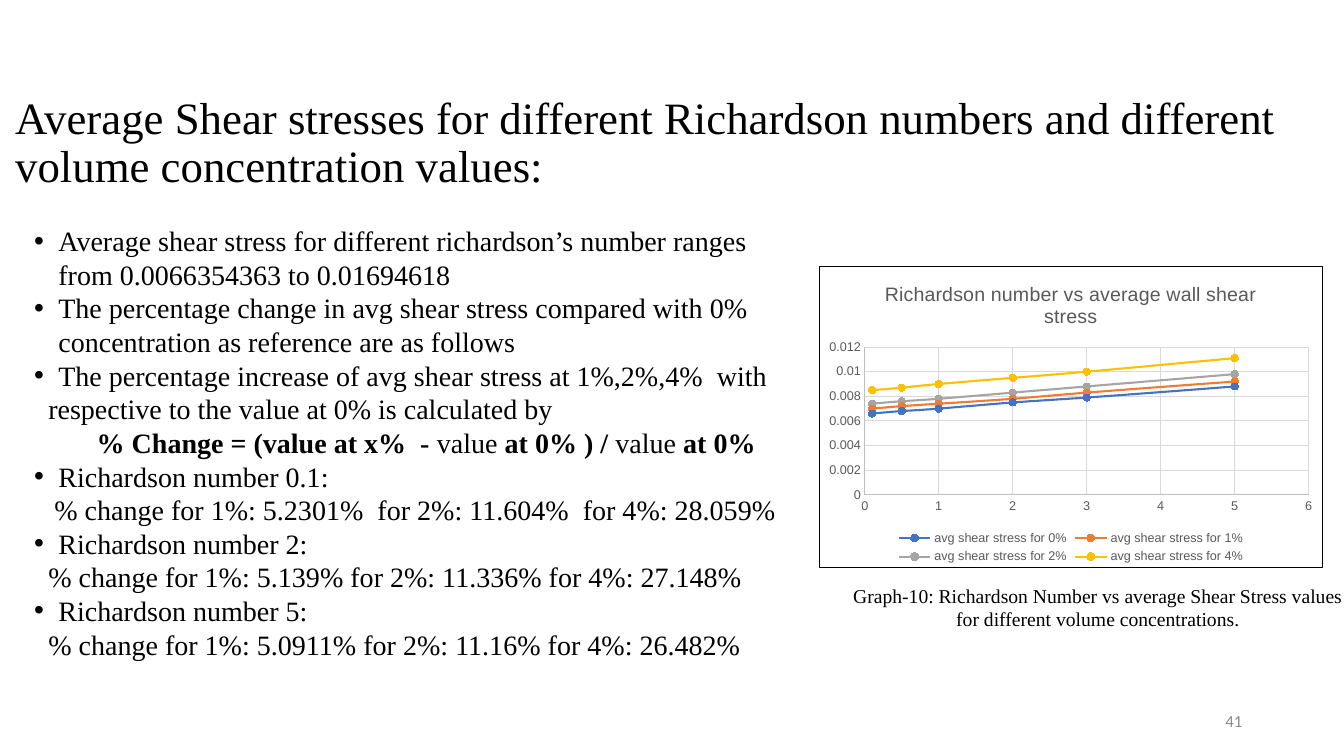
from lxml import etree
from pptx import Presentation
from pptx.chart.data import XyChartData
from pptx.dml.color import RGBColor
from pptx.enum import chart as ch, text as t
from pptx.oxml import parse_xml
from pptx.oxml.ns import nsdecls, qn
from pptx.util import Inches, Pt

SERIF = "Times New Roman"
GREY = "595959"
RICH = [0.1, 0.5, 1, 2, 3, 5]
STRESS = [
    ("0%", "4472C4", [0.0066, 0.0068, 0.007, 0.0075, 0.0079, 0.0088]),
    ("1%", "ED7D31", [0.007, 0.0072, 0.0074, 0.0078, 0.0083, 0.0092]),
    ("2%", "A5A5A5", [0.0074, 0.0076, 0.0078, 0.0083, 0.0088, 0.0098]),
    ("4%", "FFC000", [0.0085, 0.0087, 0.009, 0.0095, 0.01, 0.0111]),
]
# Each line: indent in inches (None for a bullet), then (words, bold) runs.
NOTES = [
    (None, [("Average shear stress for different richardson’s number ranges "
             "from 0.0066354363 to 0.01694618", False)]),
    (None, [("The percentage change in avg shear stress compared with 0% "
             "concentration as reference are as follows", False)]),
    (None, [("The percentage increase of avg shear stress at 1%,2%,4%  with", False)]),
    (0.14, [("respective to the value at 0% is calculated by", False)]),
    (0.62, [("% Change = (value at x%  - ", True), ("value ", False),
            ("at 0% ) / ", True), ("value ", False), ("at 0%", True)]),
    (None, [("Richardson number 0.1:", False)]),
    (0.2, [("% change for 1%: 5.2301%  for 2%: 11.604%  for 4%: 28.059%", False)]),
    (None, [("Richardson number 2:", False)]),
    (0.14, [("% change for 1%: 5.139% for 2%: 11.336% for 4%: 27.148%", False)]),
    (None, [("Richardson number 5:", False)]),
    (0.14, [("% change for 1%: 5.0911% for 2%: 11.16% for 4%: 26.482%", False)]),
]


def rgb(code):
    return RGBColor.from_string(code)


def style(font, size, color="000000", name=SERIF, bold=False):
    font.size, font.name, font.bold = Pt(size), name, bold
    font.color.rgb = rgb(color)


def write(para, words, align=t.PP_ALIGN.LEFT, **form):
    para.alignment = align
    run = para.add_run()
    run.text = words
    style(run.font, **form)


def frame(slide, box, anchor=t.MSO_ANCHOR.TOP):
    body = slide.shapes.add_textbox(*map(Inches, box)).text_frame
    body.word_wrap = True
    body.vertical_anchor = anchor
    return body


def indent(para, left, bullet):
    """Set the left margin, with a hanging bullet if asked for."""
    props = para._p.get_or_add_pPr()
    props.set("marL", str(Inches(left)))
    props.set("indent", str(Inches(-left if bullet else 0)))
    if bullet:
        etree.SubElement(props, qn("a:buFont")).set("typeface", "Arial")
        etree.SubElement(props, qn("a:buChar")).set("char", "•")


def add_title(slide, box, words):
    title = slide.shapes.title
    title.left, title.top, title.width, title.height = map(Inches, box)
    body = title.text_frame
    body.word_wrap = True
    body.auto_size = t.MSO_AUTO_SIZE.NONE
    body.vertical_anchor = t.MSO_ANCHOR.MIDDLE
    body.paragraphs[0].line_spacing = 0.9
    write(body.paragraphs[0], words, size=32)


def add_notes(slide, box):
    body = frame(slide, box)
    for i, (left, runs) in enumerate(NOTES):
        para = body.add_paragraph() if i else body.paragraphs[0]
        indent(para, 0.24 if left is None else left, left is None)
        for words, bold in runs:
            write(para, words, size=20, bold=bold)


def set_axis(axis, top, step):
    axis.minimum_scale, axis.maximum_scale, axis.major_unit = 0, top, step
    axis.major_tick_mark = axis.minor_tick_mark = ch.XL_TICK_MARK.NONE
    axis.has_major_gridlines = True
    for part, color in ((axis.major_gridlines, "D9D9D9"), (axis, "BFBFBF")):
        part.format.line.color.rgb = rgb(color)
        part.format.line.width = Pt(0.75)
    style(axis.tick_labels.font, 9, GREY, "Arial")


def add_graph(slide, box):
    data = XyChartData()
    for share, _, values in STRESS:
        series = data.add_series(f"avg shear stress for {share}")
        for x, y in zip(RICH, values):
            series.add_data_point(x, y)
    kind = ch.XL_CHART_TYPE.XY_SCATTER_SMOOTH
    chart = slide.shapes.add_chart(kind, *map(Inches, box), data).chart
    style(chart.font, 10, name="Arial")
    chart.has_title = True
    write(chart.chart_title.text_frame.paragraphs[0],
          "Richardson number vs average wall shear stress",
          align=t.PP_ALIGN.CENTER, size=14, color=GREY, name="Arial")
    chart.chart_title.include_in_layout = False
    chart.has_legend = True
    chart.legend.position = ch.XL_LEGEND_POSITION.BOTTOM
    chart.legend.include_in_layout = False
    style(chart.legend.font, 9, GREY, "Arial")
    set_axis(chart.category_axis, 6, 1)
    set_axis(chart.value_axis, 0.012, 0.002)
    plot = chart.plots[0]
    plot.vary_by_categories = False
    for series, (_, color, _) in zip(plot.series, STRESS):
        series.format.line.color.rgb = rgb(color)
        series.format.line.width = Pt(1.5)
        mark = series.marker
        mark.style, mark.size = ch.XL_MARKER_STYLE.CIRCLE, 5
        mark.format.fill.solid()
        mark.format.fill.fore_color.rgb = rgb(color)
        mark.format.line.color.rgb = rgb(color)
    for smooth in chart.element.iter(qn("c:smooth")):
        smooth.set("val", "1")
    edge = parse_xml(
        f'<c:spPr {nsdecls("c", "a")}><a:solidFill><a:srgbClr val="FFFFFF"/></a:solidFill>'
        f'<a:ln w="{Pt(0.75)}"><a:solidFill><a:srgbClr val="000000"/></a:solidFill></a:ln></c:spPr>')
    chart.element.find(qn("c:chart")).addnext(edge)


def add_label(slide, box, words, anchor=t.MSO_ANCHOR.TOP, **form):
    write(frame(slide, box, anchor).paragraphs[0], words, **form)


def main():
    deck = Presentation()
    deck.slide_width, deck.slide_height = Inches(13.33), Inches(7.5)
    slide = deck.slides.add_slide(deck.slide_layouts[5])
    add_title(slide, (0.05, 0.73, 13.07, 1.4),
              "Average Shear stresses for different Richardson numbers "
              "and different volume concentration values:")
    add_label(slide, (9.42, 6.95, 3, 0.4), "41", t.MSO_ANCHOR.MIDDLE,
              align=t.PP_ALIGN.RIGHT, size=12, color="888888", name="Calibri")
    add_label(slide, (8.33, 5.74, 5.12, 0.57),
              "Graph-10: Richardson Number vs average Shear Stress values "
              "for different volume concentrations.",
              align=t.PP_ALIGN.CENTER, size=14)
    add_graph(slide, (8.12, 2.64, 5, 3))
    add_notes(slide, (0.24, 2.17, 7.79, 4.48))
    deck.save("out.pptx")


if __name__ == "__main__":
    main()
